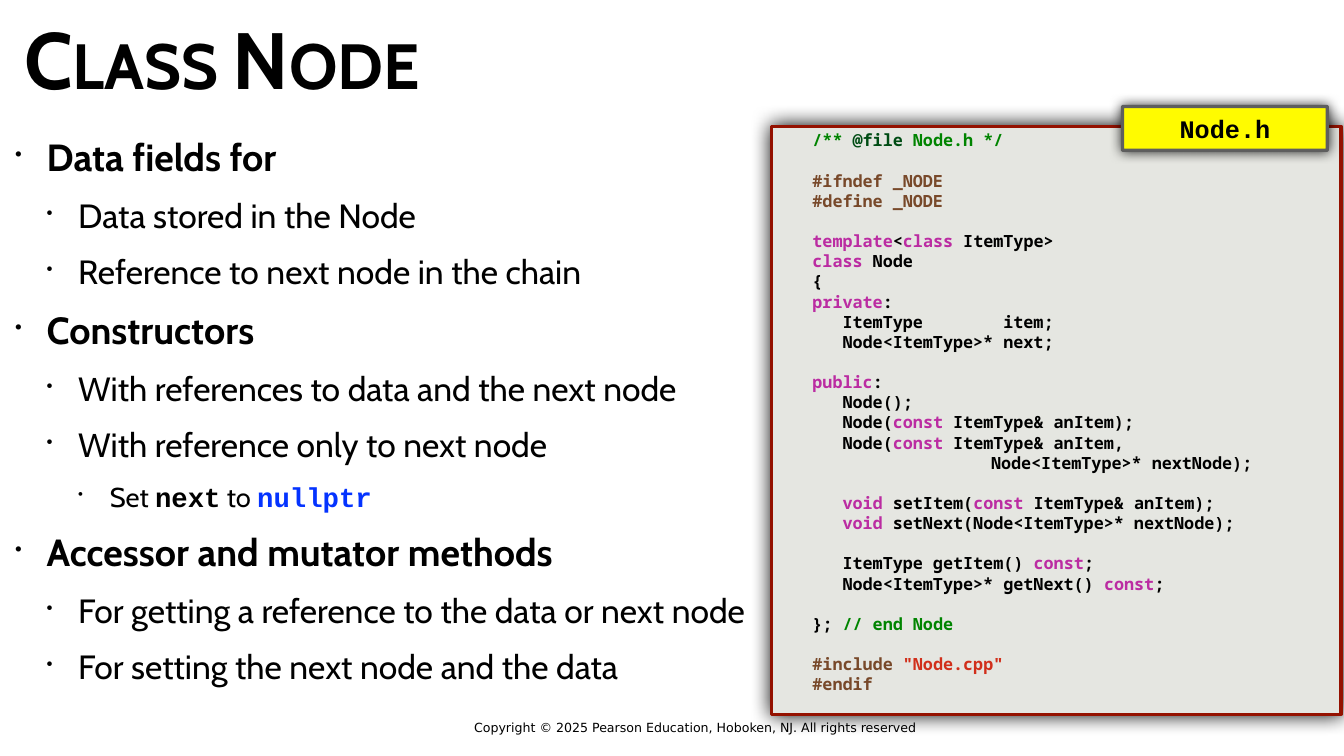
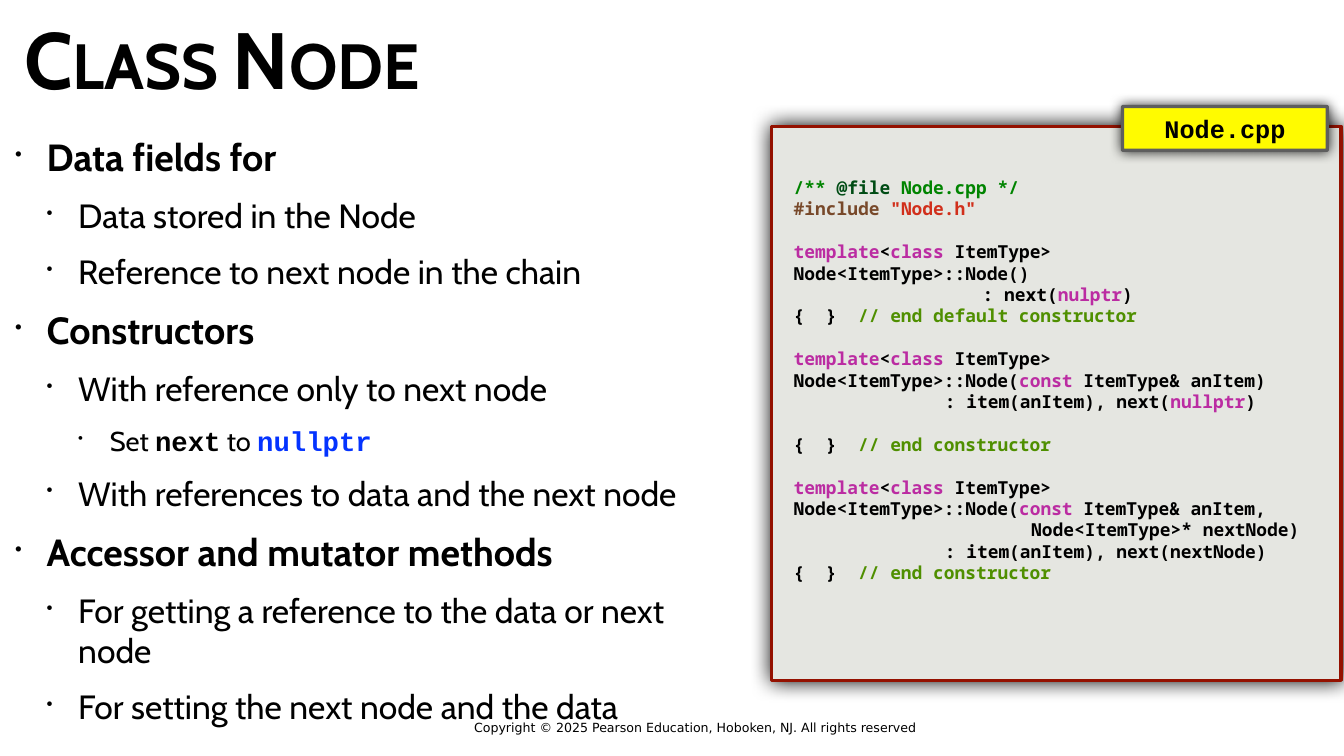
from dataclasses import dataclass
from typing import NamedTuple

from lxml import etree
from pptx import Presentation
from pptx import util as u
from pptx.dml.color import RGBColor
from pptx.enum import shapes, text
from pptx.oxml import ns
from pptx.util import Cm

BLACK = RGBColor(0x00, 0x00, 0x00)
BLUE = RGBColor(0x04, 0x33, 0xFF)
PURPLE = RGBColor(0xBB, 0x2C, 0xA2)
BROWN = RGBColor(0x78, 0x49, 0x2A)
RED = RGBColor(0xD1, 0x2F, 0x1B)
GREEN = RGBColor(0x00, 0x84, 0x00)
DARK_GREEN = RGBColor(0x00, 0x4C, 0x14)
OLIVE = RGBColor(0x4F, 0x8F, 0x00)
PANEL_FILL = RGBColor(0xE5, 0xE6, 0xE1)
PANEL_LINE = RGBColor(0x94, 0x11, 0x00)
TAG_FILL = RGBColor(0xFF, 0xFB, 0x00)
TAG_LINE = RGBColor(0x5E, 0x5E, 0x5E)

BODY_FONT, MONO_FONT, CODE_FONT = "Cabin", "Courier New", "Noto Sans Mono"
LEVEL_SIZES = (36, 32, 26)
LEVEL_INDENT = 1.06
INSET = 0.15
COPYRIGHT = "Copyright © 2025 Pearson Education, Hoboken, NJ. All rights reserved"


class Box(NamedTuple):
    left: float
    top: float
    width: float
    height: float

    def lengths(self) -> list:
        return [Cm(v) for v in self]


class Run(NamedTuple):
    text: str
    color: RGBColor = BLACK
    font: str = BODY_FONT
    bold: bool = False


class Bullet(NamedTuple):
    level: int
    runs: tuple


@dataclass
class CodeLine:
    runs: tuple
    gap: bool = False
    indent: float = 0


@dataclass
class ClassSlide:
    file_name: str
    bullets: list
    body_width: float
    panel_height: float
    code_box: Box
    code_size: int
    code: list


def line(*parts, gap: bool = False, indent: float = 0) -> CodeLine:
    """Make a code line from plain strings and coloured (text, colour) pairs."""
    runs = tuple(Run(p) if isinstance(p, str) else Run(*p) for p in parts)
    return CodeLine(runs, gap, indent)


def kw(word: str) -> tuple:
    return word, PURPLE


def template_line() -> CodeLine:
    return line(kw("template"), "<", kw("class"), " ItemType>", gap=True)


def heading(words: str) -> Bullet:
    return Bullet(0, (Run(words, bold=True),))


def item(words: str) -> Bullet:
    return Bullet(1, (Run(words),))


DATA_FIELDS = [
    heading("Data fields for"),
    item("Data stored in the Node"),
    item("Reference to next node in the chain"),
    heading("Constructors"),
]
BOTH_REFERENCES = item("With references to data and the next node")
NEXT_ONLY = [
    item("With reference only to next node"),
    Bullet(2, (Run("Set "), Run("next", font=MONO_FONT, bold=True),
               Run(" to "), Run("nullptr", BLUE, MONO_FONT, True))),
]
METHODS = [
    heading("Accessor and mutator methods"),
    item("For getting a reference to the data or next node"),
    item("For setting the next node and the data"),
]

HEADER_CODE = [
    line(("/** ", GREEN), ("@file ", DARK_GREEN), ("Node.h */", GREEN)),
    line(("#ifndef _NODE", BROWN), gap=True),
    line(("#define _NODE", BROWN)),
    template_line(),
    line(kw("class"), " Node"),
    line("{"),
    line(kw("private"), ":"),
    line("   ItemType        item;"),
    line("   Node<ItemType>* next;"),
    line(kw("public"), ":", gap=True),
    line("   Node();"),
    line("   Node(", kw("const"), " ItemType& anItem);"),
    line("   Node(", kw("const"), " ItemType& anItem,"),
    line("Node<ItemType>* nextNode);", indent=6),
    line("   ", kw("void "), "setItem(", kw("const"), " ItemType& anItem);", gap=True),
    line("   ", kw("void "), "setNext(Node<ItemType>* nextNode);"),
    line("   ItemType getItem() ", kw("const"), ";", gap=True),
    line("   Node<ItemType>* getNext() ", kw("const"), ";"),
    line("}; ", ("// end Node", GREEN), gap=True),
    line(("#include ", BROWN), ('"Node.cpp"', RED), gap=True),
    line(("#endif", BROWN)),
]

SOURCE_CODE = [
    line(("/** ", GREEN), ("@file", DARK_GREEN), (" Node.cpp */", GREEN)),
    line(("#include ", BROWN), ('"Node.h"', RED)),
    template_line(),
    line("Node<ItemType>::Node()"),
    line(": next(", kw("nulptr"), ")", indent=6.35),
    line("{  }  ", ("// end default constructor", OLIVE)),
    template_line(),
    line("Node<ItemType>::Node(", kw("const"), " ItemType& anItem)"),
    line(": item(anItem), next(", kw("nullptr"), ")", indent=5.08),
    line("{  }  ", ("// end constructor", OLIVE), gap=True),
    template_line(),
    line("Node<ItemType>::Node(", kw("const"), " ItemType& anItem,"),
    line(" Node<ItemType>* nextNode)", indent=7.62),
    line(": item(anItem), next(nextNode)", indent=5.08),
    line("{  }  ", ("// end constructor", OLIVE)),
]

SLIDES = [
    ClassSlide("Node.h", [*DATA_FIELDS, BOTH_REFERENCES, *NEXT_ONLY, *METHODS],
               25.43, 19.76, Box(27.15, 4.22, 17.96, 19.79), 16, HEADER_CODE),
    ClassSlide("Node.cpp", [*DATA_FIELDS, *NEXT_ONLY, BOTH_REFERENCES, *METHODS],
               24.77, 18.62, Box(26.52, 5.79, 17.96, 15.32), 17, SOURCE_CODE),
]


def set_attrs(obj, **values) -> None:
    for name, value in values.items():
        setattr(obj, name, value)


def add_run(p, words: str, size: float, font: str, color: RGBColor = BLACK,
            bold: bool = False):
    r = p.add_run()
    r.text = words
    set_attrs(r.font, size=u.Pt(size), name=font, bold=bold)
    r.font.color.rgb = color
    return r


def format_frame(tf, anchor=text.MSO_ANCHOR.TOP, x: float = INSET, y: float = INSET):
    set_attrs(tf, word_wrap=True, vertical_anchor=anchor,
              margin_left=Cm(x), margin_right=Cm(x),
              margin_top=Cm(y), margin_bottom=Cm(y))
    return tf


def add_text_box(s, box: Box, **frame):
    return format_frame(s.shapes.add_textbox(*box.lengths()).text_frame, **frame)


def paragraphs(tf, entries: list):
    """Yield each entry with its paragraph, starting with the existing one."""
    for i, entry in enumerate(entries):
        yield i, tf.add_paragraph() if i else tf.paragraphs[0], entry


def add_glow(sp, blur: float, alpha: int) -> None:
    """Give the shape a soft black shadow without offset."""
    effects = etree.SubElement(sp.element.spPr, ns.qn("a:effectLst"))
    shadow = etree.SubElement(effects, ns.qn("a:outerShdw"), blurRad=str(u.Pt(blur)),
                              dist="0", dir="0", algn="ctr", rotWithShape="0")
    color = etree.SubElement(shadow, ns.qn("a:srgbClr"), val="000000")
    etree.SubElement(color, ns.qn("a:alpha"), val=str(alpha * 1000))


def add_block(s, kind, box: Box, fill: RGBColor, outline: RGBColor,
              blur: float, alpha: int):
    sp = s.shapes.add_shape(kind, *box.lengths())
    sp.fill.solid()
    sp.fill.fore_color.rgb = fill
    sp.line.color.rgb = outline
    sp.line.width = u.Pt(3)
    add_glow(sp, blur, alpha)
    return sp


def add_title(s, words: str) -> None:
    tf = add_text_box(s, Box(0.66, 0, 40.67, 3.89), anchor=text.MSO_ANCHOR.MIDDLE)
    r = add_run(tf.paragraphs[0], words, 76, BODY_FONT, bold=True)
    r.font._element.set("cap", "small")


def add_footer(s) -> None:
    tf = add_text_box(s, Box(15.93, 24.13, 17.2, 0.61),
                      anchor=text.MSO_ANCHOR.MIDDLE, x=0, y=0.05)
    add_run(tf.paragraphs[0], COPYRIGHT, 12, "DejaVu Sans")


def add_bullets(s, bullets: list, width: float) -> None:
    tf = add_text_box(s, Box(0.36, 4.34, width, 19.05))
    for i, p, bullet in paragraphs(tf, bullets):
        p.level = bullet.level
        pPr = p._p.get_or_add_pPr()
        pPr.set("marL", str(Cm(LEVEL_INDENT * (bullet.level + 1))))
        pPr.set("indent", str(-Cm(LEVEL_INDENT)))
        etree.SubElement(pPr, ns.qn("a:buSzPct"), val="53000")
        etree.SubElement(pPr, ns.qn("a:buChar"), char="•")
        p.space_before = u.Pt(15 if i else 0)
        for run in bullet.runs:
            add_run(p, run.text, LEVEL_SIZES[bullet.level], run.font, run.color, run.bold)


def add_code(s, box: Box, size: int, code: list) -> None:
    tf = add_text_box(s, box)
    pitch = u.Pt(1.2 * size)
    for _, p, code_line in paragraphs(tf, code):
        p.line_spacing = pitch
        if code_line.gap:
            p.space_before = pitch
        if code_line.indent:
            p._p.get_or_add_pPr().set("indent", str(Cm(code_line.indent)))
        for run in code_line.runs:
            add_run(p, run.text, size, CODE_FONT, run.color, True)


def add_file_tag(s, name: str) -> None:
    sp = add_block(s, shapes.MSO_SHAPE.ROUNDED_RECTANGLE, Box(37.72, 3.58, 6.88, 1.47),
                   TAG_FILL, TAG_LINE, blur=12, alpha=82)
    sp.adjustments[0] = 0.01
    p = format_frame(sp.text_frame, anchor=text.MSO_ANCHOR.MIDDLE).paragraphs[0]
    p.alignment = text.PP_ALIGN.CENTER
    add_run(p, name, 24, MONO_FONT, bold=True)


def build_slide(prs, content: ClassSlide) -> None:
    s = prs.slides.add_slide(prs.slide_layouts[6])
    add_footer(s)
    add_title(s, "Class Node")
    add_bullets(s, content.bullets, content.body_width)
    add_block(s, shapes.MSO_SHAPE.RECTANGLE, Box(25.93, 4.24, 19.13, content.panel_height),
              PANEL_FILL, PANEL_LINE, blur=20, alpha=100)
    add_code(s, content.code_box, content.code_size, content.code)
    add_file_tag(s, content.file_name)


def main() -> None:
    prs = Presentation()
    set_attrs(prs, slide_width=Cm(45.16), slide_height=Cm(25.4))
    for content in SLIDES:
        build_slide(prs, content)
    prs.save("out.pptx")


if __name__ == "__main__":
    main()
